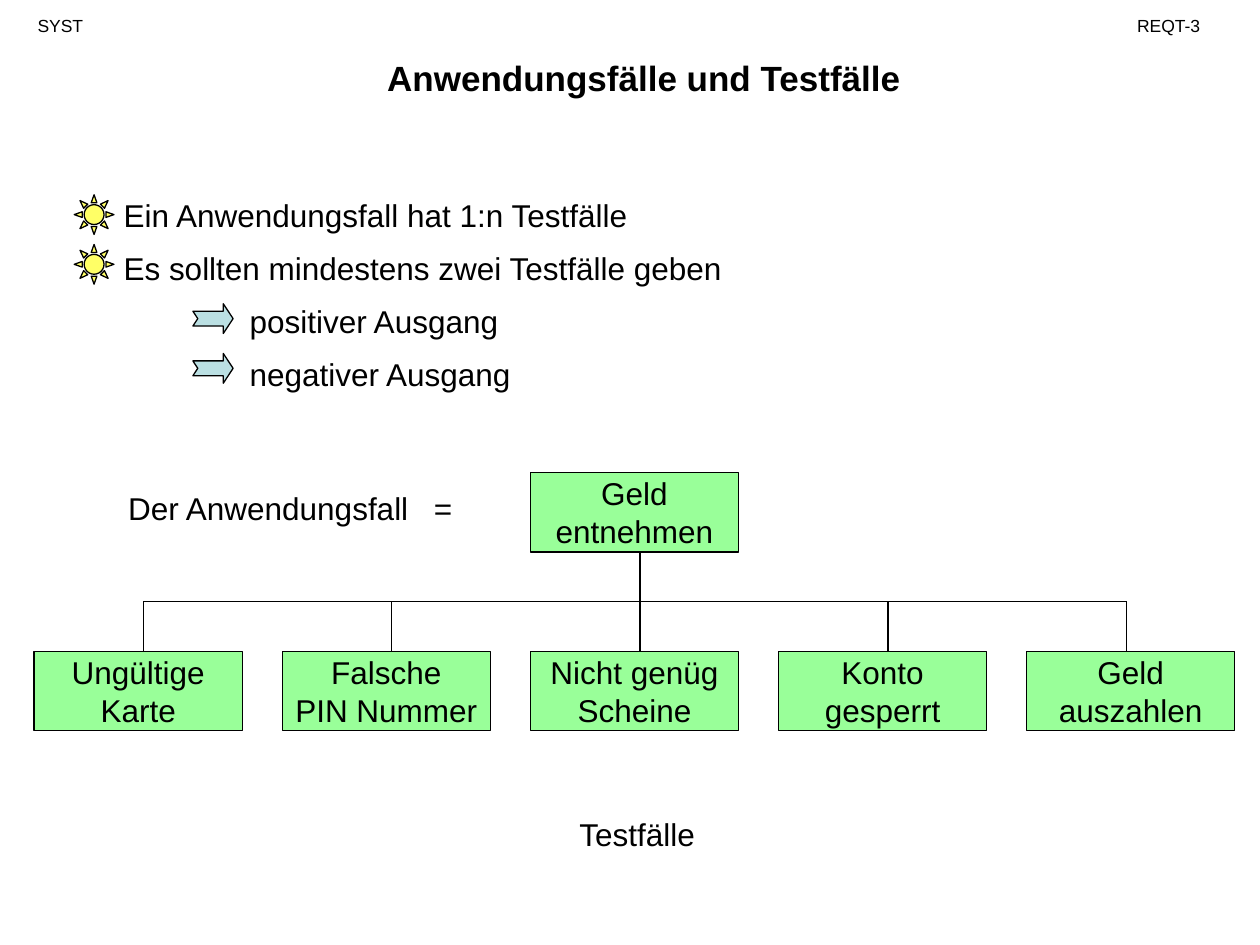
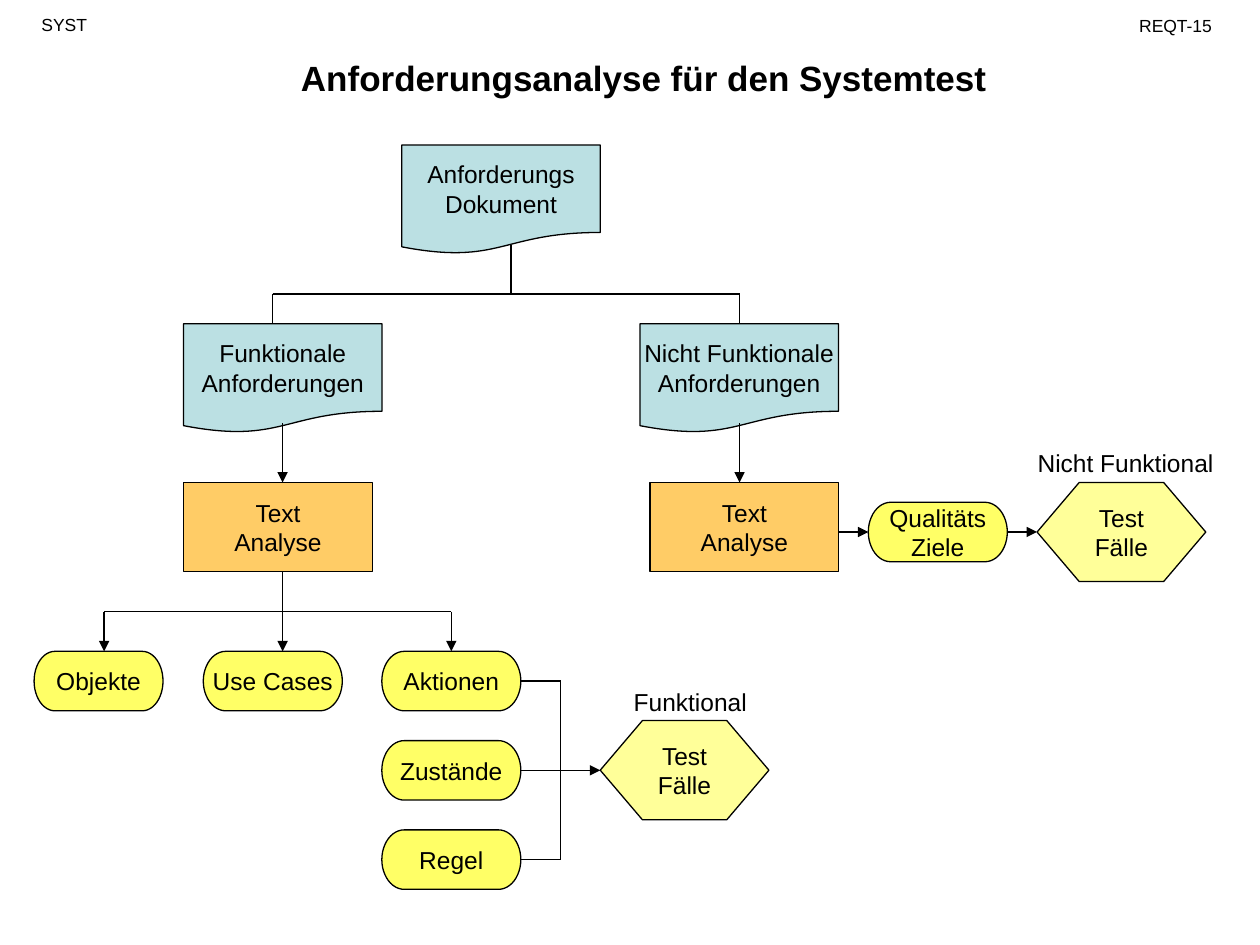
from dataclasses import dataclass

from lxml.etree import SubElement
from pptx import Presentation
from pptx.dml.color import RGBColor
from pptx.enum.shapes import MSO_CONNECTOR, MSO_SHAPE
from pptx.enum.text import MSO_ANCHOR, MSO_AUTO_SIZE, PP_ALIGN
from pptx.oxml.ns import qn
from pptx.util import Pt


@dataclass(frozen=True)
class Theme:
    font: str = "Arial"
    ink: RGBColor = RGBColor.from_string("000000")
    blue: RGBColor = RGBColor.from_string("BBE0E3")
    green: RGBColor = RGBColor.from_string("99FF99")
    orange: RGBColor = RGBColor.from_string("FFCC66")
    yellow: RGBColor = RGBColor.from_string("FFFF66")
    pale: RGBColor = RGBColor.from_string("FFFF99")
    title: int = 20
    body: int = 18
    diagram: int = 14
    header: int = 10
    line: float = 0.75


THEME = Theme()
TOP, LEFT, BOTTOM, RIGHT = range(4)


def add_box(slide, text, box, size, kind=None, fill=None, align=PP_ALIGN.CENTER):
    """Add a filled shape, or a plain label when no kind is given."""
    area = [Pt(value) for value in box]
    if kind is None:
        part = slide.shapes.add_textbox(*area)
        part.text_frame.word_wrap = True
    else:
        part = slide.shapes.add_shape(kind, *area)
        part.shadow.inherit = False
        part.fill.solid()
        part.fill.fore_color.rgb = fill
        part.line.color.rgb = THEME.ink
        part.line.width = Pt(THEME.line)
        part.text_frame.word_wrap = False
        part.text_frame.vertical_anchor = MSO_ANCHOR.MIDDLE
    if text:
        part.text_frame.text = text
        for paragraph in part.text_frame.paragraphs:
            paragraph.alignment = align
            paragraph.font.name = THEME.font
            paragraph.font.size = Pt(size)
            paragraph.font.color.rgb = THEME.ink
    return part


def add_link(slide, start, end, arrow=False, source=None, target=None):
    """Draw a line between two points; source and target are (shape, side)."""
    link = slide.shapes.add_connector(
        MSO_CONNECTOR.STRAIGHT, *[Pt(value) for value in (*start, *end)])
    if source:
        link.begin_connect(*source)
    if target:
        link.end_connect(*target)
    link.line.color.rgb = THEME.ink
    link.line.width = Pt(THEME.line)
    if arrow:
        SubElement(link.line._get_or_add_ln(), qn("a:tailEnd"), type="triangle")
    SubElement(link._element.spPr, qn("a:effectLst"))


deck = Presentation()
deck.slide_width, deck.slide_height = Pt(720), Pt(540)
use_cases = deck.slides.add_slide(deck.slide_layouts[1])
analysis = deck.slides.add_slide(deck.slide_layouts[5])

# Titles and headers of both slides
for slide, heading, page, course_at, page_box in (
    (use_cases, "Anwendungsfälle und Testfälle", "REQT-3",
     (14.4, 5), (637.9, 5, 59.8, 19.4)),
    (analysis, "Anforderungsanalyse für den Systemtest", "REQT-15",
     (16.6, 4.3), (637.9, 5, 67.7, 19.4)),
):
    title = slide.shapes.title
    title.left, title.top, title.width, title.height = Pt(98), Pt(28.8), Pt(540), Pt(31.7)
    title.text_frame.text = heading
    title.text_frame.auto_size = MSO_AUTO_SIZE.NONE
    title.text_frame.vertical_anchor = MSO_ANCHOR.TOP
    paragraph = title.text_frame.paragraphs[0]
    paragraph.alignment = PP_ALIGN.CENTER
    paragraph.font.name = THEME.font
    paragraph.font.size = Pt(THEME.title)
    paragraph.font.bold = True
    paragraph.font.color.rgb = THEME.ink
    add_box(slide, "SYST", (*course_at, 66, 19.4), THEME.header, align=PP_ALIGN.LEFT)
    add_box(slide, page, page_box, THEME.header)

# Slide 1: list
rules = use_cases.placeholders[1]
rules.left, rules.top, rules.width, rules.height = Pt(63.4), Pt(100), Pt(380), Pt(128)
rules.text_frame.text = "\n".join((
    "Ein Anwendungsfall hat 1:n Testfälle",
    "Es sollten mindestens zwei Testfälle geben",
    "positiver Ausgang",
    "negativer Ausgang",
))
rules.text_frame.auto_size = MSO_AUTO_SIZE.NONE
for row, paragraph in enumerate(rules.text_frame.paragraphs):
    paragraph.level = row // 2
    properties = paragraph._p.get_or_add_pPr()
    properties.set("marL", str(Pt(72 * paragraph.level)))
    properties.set("indent", "0")
    SubElement(properties, qn("a:buNone"))
    paragraph.space_before = Pt(0)
    paragraph.line_spacing = 1.4
    paragraph.font.name = THEME.font
    paragraph.font.size = Pt(THEME.body)
    paragraph.font.color.rgb = THEME.ink

# Slide 1: list markers
for row in range(2):
    step = 28.4 * row
    add_box(use_cases, "", (42.4, 111.3 + step, 22.7, 22.7), THEME.body,
            MSO_SHAPE.SUN, THEME.yellow)
    arrow = add_box(use_cases, "", (110.2, 173.6 + step, 23, 17), THEME.body,
                    MSO_SHAPE.NOTCHED_RIGHT_ARROW, THEME.blue)
    arrow.adjustments[1] = 0.33

# Slide 1: use case and its test cases
use_case_label = add_box(use_cases, "Der Anwendungsfall\t=", (66.2, 275.8, 228, 28.8),
                         THEME.body, align=PP_ALIGN.LEFT)
properties = use_case_label.text_frame.paragraphs[0]._p.get_or_add_pPr()
tabs = properties.makeelement(qn("a:tabLst"))
SubElement(tabs, qn("a:tab"), pos=str(Pt(174.6)), algn="l")
properties.insert(0, tabs)

case_left, case_pitch, case_size = 19.5, 141.8, (118.9, 45.4)
add_box(use_cases, "Geld\nentnehmen", (case_left + 2 * case_pitch, 270, *case_size),
        THEME.body, MSO_SHAPE.RECTANGLE, THEME.green)
test_cases = ("Ungültige\nKarte", "Falsche\nPIN Nummer", "Nicht genüg\nScheine",
              "Konto\ngesperrt", "Geld\nauszahlen")
for column, test_case in enumerate(test_cases):
    add_box(use_cases, test_case, (case_left + column * case_pitch, 372.2, *case_size),
            THEME.body, MSO_SHAPE.RECTANGLE, THEME.green)
add_box(use_cases, "Testfälle", (324, 462.2, 90, 28.8), THEME.body, align=PP_ALIGN.LEFT)

# Slide 1: tree lines
first_drop, trunk, last_drop, rail = 82.1, 365.7, 643.7, 343.7
add_link(use_cases, (first_drop, rail), (last_drop, rail))
add_link(use_cases, (trunk, 315.4), (trunk, 372.2))
for x in (first_drop, first_drop + case_pitch, first_drop + 3 * case_pitch, last_drop):
    add_link(use_cases, (x, rail), (x, 372.2))

# Slide 2: requirement documents and their text analysis
for text, x, y in (("Anforderungs\nDokument", 229.6, 82.8),
                   ("Funktionale\nAnforderungen", 104.9, 185),
                   ("Nicht Funktionale\nAnforderungen", 365.7, 185)):
    add_box(analysis, text, (x, y, 113.4, 62.4), THEME.diagram,
            MSO_SHAPE.FLOWCHART_DOCUMENT, THEME.blue)
for x in (104.9, 371.4):
    add_box(analysis, "Text\nAnalyse", (x, 275.7, 108, 51), THEME.diagram,
            MSO_SHAPE.RECTANGLE, THEME.orange)

# Slide 2: findings
findings = {}
for text, x, y, width in (("Objekte", 19.5, 372.2, 73.7),
                          ("Use Cases", 116.2, 372.2, 79.4),
                          ("Aktionen", 218.2, 372.2, 79.4),
                          ("Zustände", 218.2, 423.2, 79.4),
                          ("Regel", 218.2, 474.2, 79.4),
                          ("Qualitäts\nZiele", 496.2, 287, 79.4)):
    findings[text] = add_box(analysis, text, (x, y, width, 34), THEME.diagram,
                             MSO_SHAPE.FLOWCHART_TERMINATOR, THEME.yellow)

# Slide 2: resulting test cases
for x, y, label, label_x in ((343, 411.8, "Funktional", 355),
                             (592.6, 275.7, "Nicht Funktional", 585.8)):
    tests = add_box(analysis, "Test\nFälle", (x, y, 96.4, 56.7), THEME.diagram,
                    MSO_SHAPE.HEXAGON, THEME.pale)
    tests.adjustments[0] = 0.425
    add_box(analysis, label, (label_x, y - 23, 120, 24.2), THEME.diagram,
            align=PP_ALIGN.LEFT)

# Slide 2: from the document down to the text analysis
functional, quality, split = 161.5, 422.6, 168
add_link(analysis, (292, 140), (292, split))
add_link(analysis, (155.8, split), (quality, split))
for x in (155.8, quality):
    add_link(analysis, (x, split), (x, 185))
for x in (functional, quality):
    add_link(analysis, (x, 242), (x, 275.7), arrow=True)

# Slide 2: from the text analysis to the findings
rail, actions = 349.5, 257.9
add_link(analysis, (functional, 326.7), (functional, 372.2), arrow=True)
add_link(analysis, (59.5, rail), (actions, rail))
add_link(analysis, (59.5, rail), (59.5, 372.2), arrow=True)
add_link(analysis, (actions, rail), (actions, 372.2), arrow=True,
         target=(findings["Aktionen"], TOP))
add_link(analysis, (479.1, 304), (496.2, 304), arrow=True,
         target=(findings["Qualitäts\nZiele"], LEFT))

# Slide 2: from the findings to the test cases
merge = 320.3
add_link(analysis, (merge, 389.2), (merge, 491.2))
for name, start_x, end_x, y, arrow in (("Aktionen", 297.6, merge, 389.2, False),
                                       ("Regel", 297.6, merge, 491.2, False),
                                       ("Zustände", 297.6, 343, 440.2, True),
                                       ("Qualitäts\nZiele", 575.6, 592.6, 304, True)):
    add_link(analysis, (start_x, y), (end_x, y), arrow, source=(findings[name], RIGHT))

deck.save("out.pptx")
